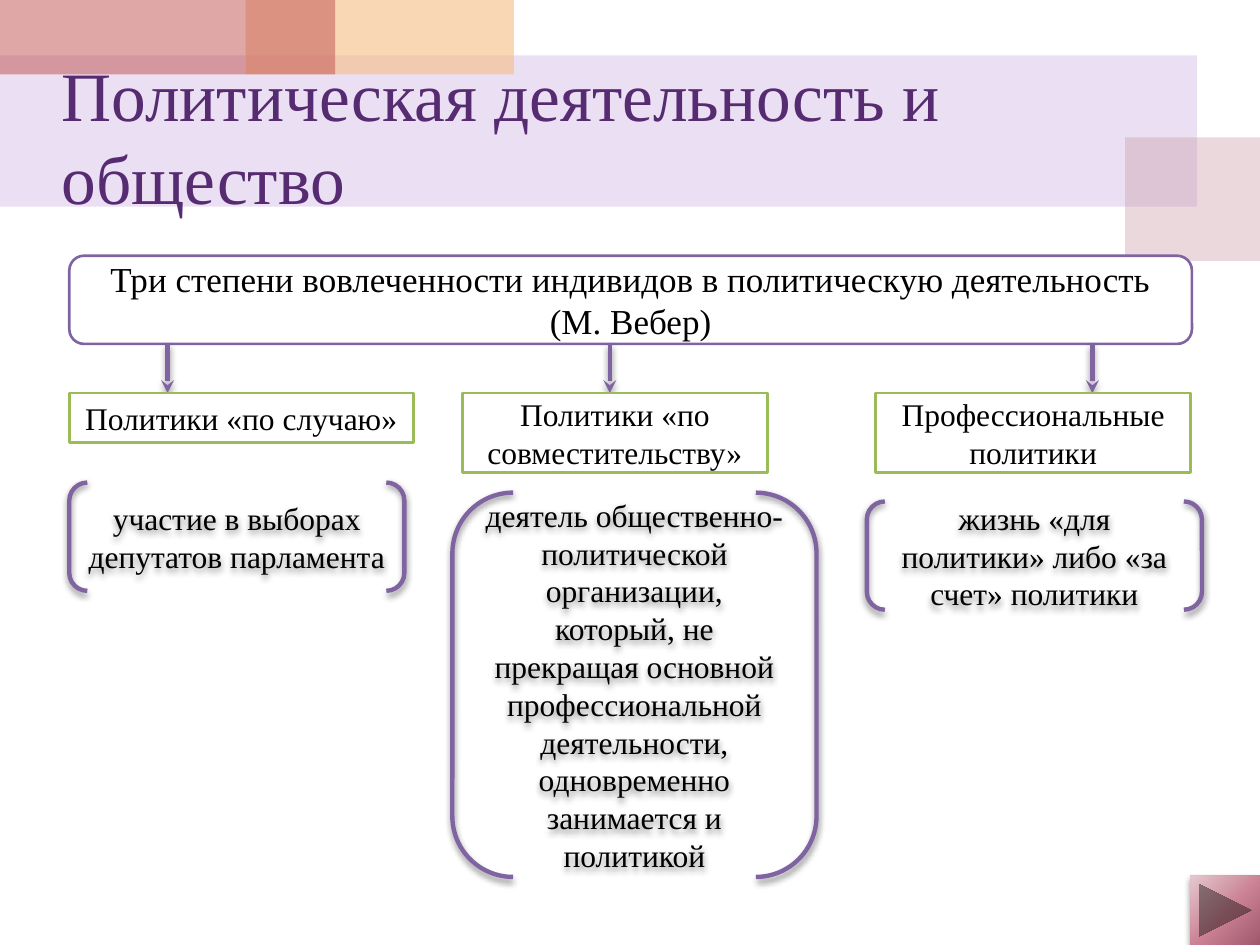
"""Builds a slide on three degrees of involvement in political activity."""
from dataclasses import dataclass

from pptx import Presentation
from pptx.dml.color import RGBColor
from pptx.enum.shapes import MSO_CONNECTOR, MSO_SHAPE
from pptx.enum.text import MSO_ANCHOR, PP_ALIGN
from pptx.oxml import parse_xml
from pptx.oxml.ns import nsdecls, qn
from pptx.util import Inches, Pt

RECTANGLE = MSO_SHAPE.RECTANGLE
ROUNDED = MSO_SHAPE.FLOWCHART_ALTERNATE_PROCESS
PROCESS = MSO_SHAPE.FLOWCHART_PROCESS
BRACKETS = MSO_SHAPE.DOUBLE_BRACKET
NEXT_BUTTON = MSO_SHAPE.ACTION_BUTTON_FORWARD_OR_NEXT
STRAIGHT = MSO_CONNECTOR.STRAIGHT
MIDDLE = MSO_ANCHOR.MIDDLE
LEFT, CENTER = PP_ALIGN.LEFT, PP_ALIGN.CENTER


@dataclass(frozen=True)
class Theme:
    """Colours, type sizes and line widths of the slide."""
    font: str = "Times New Roman"
    title: str = "562B71"
    text: str = "000000"
    paper: str = "FFFFFF"
    violet: str = "8064A2"
    green: str = "9BBB59"
    band: str = "BF98D8"
    rose: str = "CC9EAC"
    peach: str = "F5BC83"
    red: str = "C0504D"
    button: tuple = ((0, "E5C9CF"), (55, "C97F92"), (100, "9E586C"))
    title_size: float = 39.6
    heading_size: float = 20
    body_size: float = 18
    thin: float = 1.5
    thick: float = 2.5


class SlideBuilder:
    """Draws elements on a slide measured in a grid of 100 columns and 75 rows."""

    def __init__(self, deck, theme):
        self.theme = theme
        self.column = deck.slide_width / 100
        self.row = deck.slide_height / 75
        self.slide = deck.slides.add_slide(deck.slide_layouts[6])

    def place(self, left, top, width, height):
        """Turn grid units into lengths."""
        return (round(left * self.column), round(top * self.row),
                round(width * self.column), round(height * self.row))

    def shape(self, kind, area):
        """Add a preset shape without a shadow."""
        shape = self.slide.shapes.add_shape(kind, *self.place(*area))
        shape.shadow.inherit = False
        return shape

    def stroke(self, line, color, width):
        """Colour a line and set its width."""
        line.color.rgb = RGBColor.from_string(color)
        line.width = Pt(width)

    def cast_shadow(self, effects):
        """Put a soft shadow below an element."""
        effects.append(parse_xml(
            f'<a:outerShdw {nsdecls("a")} blurRad="{Pt(4)}" dist="{Pt(2)}" dir="5400000" '
            'rotWithShape="0"><a:srgbClr val="000000"><a:alpha val="45000"/>'
            '</a:srgbClr></a:outerShdw>'))

    def set_text(self, frame, lines, size, color, align):
        """Fill a text frame with one paragraph for each line."""
        frame.word_wrap = True
        frame.vertical_anchor = MIDDLE
        frame.text = "\n".join(lines)
        for paragraph in frame.paragraphs:
            paragraph.alignment = align
            paragraph.font.name = self.theme.font
            paragraph.font.size = Pt(size)
            paragraph.font.color.rgb = RGBColor.from_string(color)

    def tint(self, area, color, opacity):
        """Add a translucent decorative rectangle."""
        block = self.shape(RECTANGLE, area)
        block.fill.solid()
        block.fill.fore_color.rgb = RGBColor.from_string(color)
        tone = block.element.spPr.find(qn("a:solidFill")).find(qn("a:srgbClr"))
        tone.append(parse_xml(f'<a:alpha {nsdecls("a")} val="{opacity * 1000}"/>'))
        block.line.fill.background()

    def title(self, area, words):
        """Add the slide title."""
        box = self.slide.shapes.add_textbox(*self.place(*area))
        self.set_text(box.text_frame, [words], self.theme.title_size, self.theme.title, LEFT)

    def box(self, kind, area, lines, size, color):
        """Add a white outlined box with centred text."""
        box = self.shape(kind, area)
        box.fill.solid()
        box.fill.fore_color.rgb = RGBColor.from_string(self.theme.paper)
        self.stroke(box.line, color, self.theme.thin)
        self.set_text(box.text_frame, lines, size, self.theme.text, CENTER)

    def brackets(self, area, words):
        """Add a shadowed explanation between brackets."""
        pair = self.shape(BRACKETS, area)
        pair.fill.background()
        self.stroke(pair.line, self.theme.violet, self.theme.thick)
        self.cast_shadow(pair.element.spPr.find(qn("a:effectLst")))
        self.set_text(pair.text_frame, [words], self.theme.body_size, self.theme.text, CENTER)

    def arrow(self, column, top, bottom):
        """Add a downward arrow."""
        x, start, _, end = self.place(column, top, 0, bottom)
        arrow = self.slide.shapes.add_connector(STRAIGHT, x, start, x, end)
        self.stroke(arrow.line, self.theme.violet, self.theme.thick)
        properties = arrow.element.spPr
        properties.find(qn("a:ln")).append(
            parse_xml(f'<a:tailEnd {nsdecls("a")} type="stealth"/>'))
        effects = parse_xml(f'<a:effectLst {nsdecls("a")}/>')
        self.cast_shadow(effects)
        properties.append(effects)

    def next_button(self, area):
        """Add the forward button with a radial gradient."""
        button = self.shape(NEXT_BUTTON, area)
        stops = "".join(
            f'<a:gs pos="{position * 1000}"><a:srgbClr val="{color}"/></a:gs>'
            for position, color in self.theme.button)
        properties = button.element.spPr
        properties.find(qn("a:prstGeom")).addnext(parse_xml(
            f'<a:gradFill {nsdecls("a")} rotWithShape="1"><a:gsLst>{stops}</a:gsLst>'
            '<a:path path="circle"><a:fillToRect l="-40000" t="-90000" r="140000" '
            'b="190000"/></a:path></a:gradFill>'))
        button.line.fill.background()
        self.cast_shadow(properties.find(qn("a:effectLst")))


def main():
    """Build and save the slide."""
    deck = Presentation()
    deck.slide_width, deck.slide_height = Inches(10), Inches(7.5)
    theme = Theme()
    page = SlideBuilder(deck, theme)

    page.tint((0, 4.4, 95, 12), theme.band, 30)
    page.tint((89.3, 10.9, 10.7, 9.8), theme.rose, 40)
    page.tint((19.5, 0, 21.3, 5.9), theme.peach, 60)
    page.tint((0, 0, 26.6, 5.9), theme.red, 50)
    page.title((3.9, 5.5, 90, 10.5), "Политическая деятельность и общество")

    heading_top, heading_bottom, degree_top = 20.3, 27.3, 31.2
    page.box(ROUNDED, (5.5, heading_top, 89.1, heading_bottom - heading_top),
             ["Три степени вовлеченности индивидов в политическую деятельность",
              "(М. Вебер)"], theme.heading_size, theme.violet)

    degrees = [
        (13.3, (5.5, 27.3, 3.9), "Политики «по случаю»",
         (5.5, 38.3, 26.6, 8.6), "участие в выборах депутатов парламента"),
        (48.4, (36.7, 24.2, 6.3), "Политики «по совместительству»",
         (35.9, 39.1, 28.9, 30.5),
         "деятель общественно-политической организации, который, не прекращая "
         "основной профессиональной деятельности, одновременно занимается и политикой"),
        (86.7, (69.5, 25, 6.3), "Профессиональные политики",
         (68.8, 39.8, 26.6, 8.6), "жизнь «для политики» либо «за счет» политики"),
    ]
    for arrow_column, (left, width, height), degree, meaning_area, meaning in degrees:
        page.arrow(arrow_column, heading_bottom, degree_top)
        page.box(PROCESS, (left, degree_top, width, height), [degree],
                 theme.body_size, theme.green)
        page.brackets(meaning_area, meaning)

    page.next_button((94.5, 69.5, 5.5, 5.5))
    deck.save("out.pptx")


if __name__ == "__main__":
    main()
